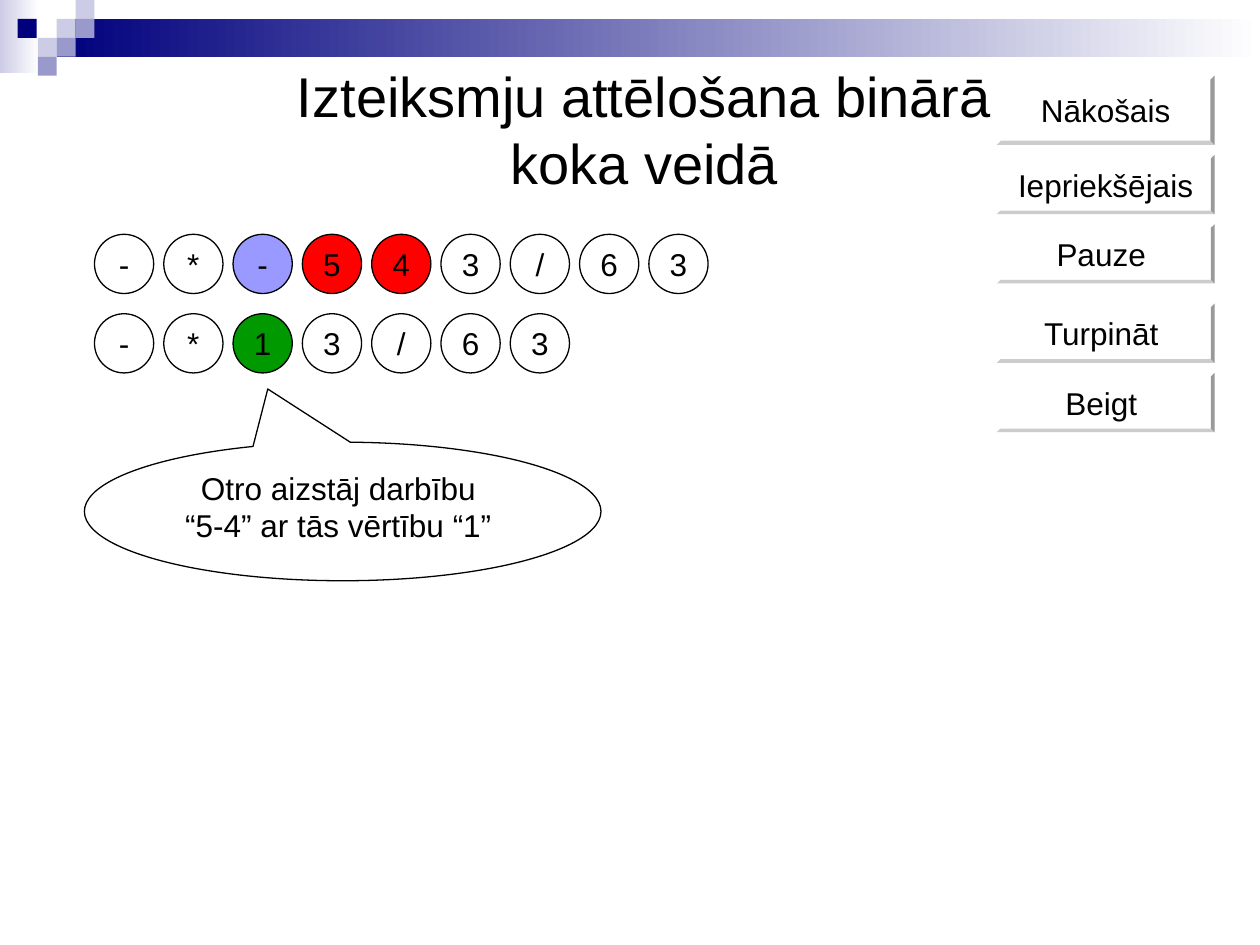
"""Build the slide on showing expressions as a binary tree."""
from pptx import Presentation
from pptx.dml.color import RGBColor
from pptx.enum.shapes import MSO_SHAPE as Preset
from pptx.enum.text import MSO_ANCHOR as Anchor, MSO_AUTO_SIZE as AutoSize, PP_ALIGN as Align
from pptx.util import Inches, Pt

COLORS = {
    "black": "000000", "white": "FFFFFF", "navy": "00007D", "pale": "CCCCE6",
    "lavender": "9999CC", "operator": "9999FF", "operand": "FF0000", "result": "009900",
}


def add_filled(preset, left, top, width, height, color, outlined=False):
    shape = slide.shapes.add_shape(
        preset, Inches(left), Inches(top), Inches(width), Inches(height))
    shape.shadow.inherit = False
    shape.fill.solid()
    shape.fill.fore_color.rgb = RGBColor.from_string(COLORS[color])
    if outlined:
        shape.line.color.rgb = RGBColor.from_string(COLORS["black"])
        shape.line.width = Pt(0.75)
    else:
        shape.line.fill.background()
    return shape


def write(shape, lines, size=18, anchor=Anchor.MIDDLE, wrap=False):
    frame = shape.text_frame
    frame.auto_size = AutoSize.NONE
    frame.word_wrap = wrap
    frame.vertical_anchor = anchor
    for index, line in enumerate(lines):
        paragraph = frame.add_paragraph() if index else frame.paragraphs[0]
        paragraph.alignment = Align.CENTER
        run = paragraph.add_run()
        run.text = line
        run.font.name = "Arial"
        run.font.size = Pt(size)
        run.font.color.rgb = RGBColor.from_string(COLORS["black"])


presentation = Presentation()
presentation.slide_width = Inches(10)
presentation.slide_height = Inches(7.5)
slide = presentation.slides.add_slide(presentation.slide_layouts[5])

for left, top, width, height, color in [
    (0, 0, 0.31, 0.58, "pale"),
    (0.45, 0.15, 9.55, 0.3, "navy"),
]:
    band = add_filled(Preset.RECTANGLE, left, top, width, height, color)
    band.fill.gradient()
    band.fill.gradient_angle = 180
    for stop, stop_color in zip(band.fill.gradient_stops, ["white", color]):
        stop.color.rgb = RGBColor.from_string(COLORS[stop_color])

for left, top, color in [
    (0.45, 0.15, "pale"), (0.6, 0, "pale"), (0.6, 0.15, "lavender"),
    (0.3, 0.3, "pale"), (0.14, 0.15, "navy"), (0.45, 0.3, "lavender"),
    (0.3, 0.45, "lavender"),
]:
    add_filled(Preset.RECTANGLE, left, top, 0.15, 0.15, color)

for label, top, height in [
    ("Nākošais", 0.6, 0.55), ("Iepriekšējais", 1.23, 0.47), ("Pauze ", 1.78, 0.47),
    ("Turpināt ", 2.41, 0.47), ("Beigt ", 2.96, 0.47),
]:
    button = add_filled(Preset.BEVEL, 7.91, top, 1.73, height, "white")
    button.adjustments[0] = 0.06
    write(button, [label])

title = slide.shapes.title
title.left, title.top = Inches(1.77), Inches(0.44)
title.width, title.height = Inches(6.69), Inches(1.17)
write(title, ["Izteiksmju attēlošana binārā koka veidā"], 32, Anchor.TOP, True)

callout = add_filled(Preset.OVAL_CALLOUT, 0.67, 3.51, 4.1, 1.1, "white", True)
callout.adjustments[0] = -0.145
callout.adjustments[1] = -0.884
write(callout, ["Otro aizstāj darbību ", "“5-4” ar tās vērtību “1” "],
      anchor=Anchor.TOP, wrap=True)

for top, symbols, highlights in [
    (1.86, "-*-543/63", {2: "operator", 3: "operand", 4: "operand"}),
    (2.49, "-*13/63", {2: "result"}),
]:
    for column, symbol in enumerate(symbols):
        token = add_filled(Preset.OVAL, 0.75 + 0.55 * column, top, 0.47, 0.47,
                           highlights.get(column, "white"), True)
        write(token, [symbol])

presentation.save("out.pptx")
